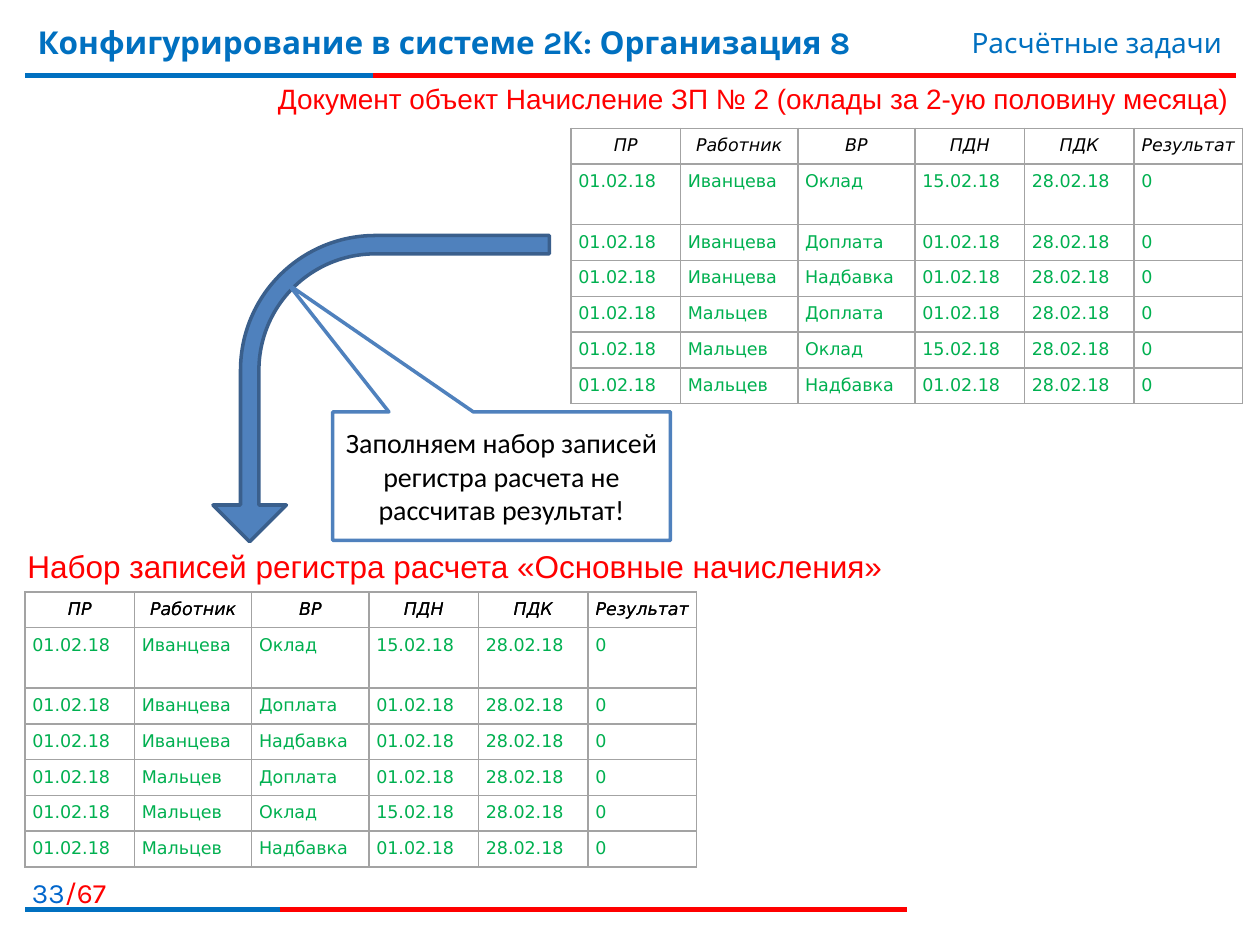
from lxml.etree import SubElement
from pptx import Presentation
from pptx.dml.color import RGBColor
from pptx.enum.shapes import MSO_CONNECTOR, MSO_SHAPE
from pptx.enum.text import MSO_ANCHOR, MSO_AUTO_SIZE, PP_ALIGN
from pptx.oxml.ns import qn
from pptx.util import Pt

RED, BLUE, GREEN, BLACK, WHITE = "FF0000", "0070C0", "00B050", "000000", "FFFFFF"
PAGE_BLUE, BORDER = "0066CC", "A3A3A3"
ARROW_FILL, ARROW_LINE = "4F81BD", "3A5F8C"
HEADING = {"name": "Karla", "size": Pt(16)}
TITLE = {"name": "Karla", "size": Pt(18), "bold": True}
CAPTION = {"name": "Arial", "size": Pt(16)}
LARGE_CAPTION = {"name": "Arial", "size": Pt(18)}
NOTE = {"name": "Calibri", "size": Pt(16)}
CELL = {"name": "DejaVu Sans", "size": Pt(10)}
HEADER_CELL = {**CELL, "italic": True}

COLUMN_WIDTHS = (62.6, 67, 67, 62.6, 62.6, 61.9)
ROW_HEIGHT, TALL_ROW_HEIGHT = 20, 34.6
HEADERS = ("ПР", "Работник", "ВР", "ПДН", "ПДК", "Результат")
PERIOD, MID_MONTH, MONTH_END = "01.02.18", "15.02.18", "28.02.18"
ACCRUALS = [
    (PERIOD, worker, kind, MID_MONTH if kind == "Оклад" else PERIOD, MONTH_END, "0")
    for worker, kind in (
        ("Иванцева", "Оклад"),
        ("Иванцева", "Доплата"),
        ("Иванцева", "Надбавка"),
        ("Мальцев", "Доплата"),
        ("Мальцев", "Оклад"),
        ("Мальцев", "Надбавка"),
    )
]


def rgb(color):
    return RGBColor.from_string(color)


class SlideBuilder:
    def __init__(self, slide):
        self.slide = slide

    def add_runs(self, frame, runs, style, align=PP_ALIGN.LEFT):
        """Fill the first paragraph with (text, colour) runs of one style."""
        paragraph = frame.paragraphs[0]
        paragraph.alignment = align
        for text, color in runs:
            run = paragraph.add_run()
            run.text = text
            for attribute, value in style.items():
                setattr(run.font, attribute, value)
            run.font.color.rgb = rgb(color)

    def text(self, box, runs, style, align=PP_ALIGN.LEFT, grow=False):
        frame = self.slide.shapes.add_textbox(*map(Pt, box)).text_frame
        frame.word_wrap = True
        if grow:
            frame.auto_size = MSO_AUTO_SIZE.SHAPE_TO_FIT_TEXT
        self.add_runs(frame, runs, style, align)

    def rule(self, left, right, y, color):
        line = self.slide.shapes.add_connector(
            MSO_CONNECTOR.STRAIGHT, Pt(left), Pt(y), Pt(right), Pt(y))
        line.line.color.rgb = rgb(color)
        line.line.width = Pt(3)
        SubElement(line._element.spPr, qn("a:effectLst"))

    def shape(self, preset, box, adjustments, fill, line):
        shape = self.slide.shapes.add_shape(preset, *map(Pt, box))
        shape.shadow.inherit = False
        for index, value in enumerate(adjustments):
            shape.adjustments[index] = value
        shape.fill.solid()
        shape.fill.fore_color.rgb = rgb(fill)
        shape.line.color.rgb = rgb(line)
        shape.line.width = Pt(2)
        return shape

    def bent_arrow(self, box, adjustments):
        arrow = self.shape(MSO_SHAPE.BENT_ARROW, box, adjustments, ARROW_FILL, ARROW_LINE)
        arrow.rotation = 270
        arrow._element.spPr.find(qn("a:xfrm")).set("flipH", "1")

    def callout(self, box, adjustments, text):
        callout = self.shape(
            MSO_SHAPE.RECTANGULAR_CALLOUT, box, adjustments, WHITE, ARROW_FILL)
        frame = callout.text_frame
        frame.word_wrap = True
        frame.vertical_anchor = MSO_ANCHOR.MIDDLE
        self.add_runs(frame, [(text, BLACK)], NOTE, PP_ALIGN.CENTER)

    def cell(self, cell, text, is_header):
        for side in ("left", "right", "top", "bottom"):
            setattr(cell, f"margin_{side}", Pt(4.2))
        properties = cell._tc.get_or_add_tcPr()
        for side in "LRTB":
            edge = SubElement(properties, qn(f"a:ln{side}"), w=str(Pt(1)))
            SubElement(SubElement(edge, qn("a:solidFill")), qn("a:srgbClr"), val=BORDER)
        cell.fill.background()
        if is_header:
            self.add_runs(cell.text_frame, [(text, BLACK)], HEADER_CELL, PP_ALIGN.CENTER)
        else:
            self.add_runs(cell.text_frame, [(text, GREEN)], CELL)

    def accrual_table(self, left, top, records):
        rows = [HEADERS, *records]
        heights = [TALL_ROW_HEIGHT if index == 1 else ROW_HEIGHT for index in range(len(rows))]
        table = self.slide.shapes.add_table(
            len(rows), len(HEADERS), Pt(left), Pt(top),
            Pt(sum(COLUMN_WIDTHS)), Pt(sum(heights))).table
        table.first_row = table.horz_banding = False
        for column, width in zip(table.columns, COLUMN_WIDTHS):
            column.width = Pt(width)
        for row_index, (row, height, values) in enumerate(zip(table.rows, heights, rows)):
            row.height = Pt(height)
            for cell, value in zip(row.cells, values):
                self.cell(cell, value, row_index == 0)


def main():
    presentation = Presentation()
    presentation.slide_width, presentation.slide_height = Pt(720), Pt(540)
    builder = SlideBuilder(presentation.slides.add_slide(presentation.slide_layouts[6]))

    for y, blue_end, red_end in ((43.2, 213.1, 706.3), (519.8, 159.8, 518.4)):
        builder.rule(14.4, red_end, y, RED)
        builder.rule(14.4, blue_end, y, BLUE)
    builder.text((0, 496.8, 67.7, 23), [("33", PAGE_BLUE), ("/67", RED)],
                 HEADING, PP_ALIGN.RIGHT)
    builder.text((14.4, 9.4, 532.8, 44.6),
                 [("Конфигурирование в системе 2К: Организация 8", BLUE)], TITLE)
    builder.text((427.7, 10.8, 277.9, 26.6), [("Расчётные задачи", BLUE)],
                 HEADING, PP_ALIGN.RIGHT, grow=True)

    builder.text((8.6, 308.9, 652.3, 28.8),
                 [("Набор записей регистра расчета «Основные начисления»", RED)],
                 LARGE_CAPTION, grow=True)
    builder.accrual_table(326.3, 73.4, ACCRUALS)
    builder.bent_arrow((130.3, 126, 175, 192.2), (0.06, 0.12, 0.12, 0.44))
    builder.accrual_table(14.3, 338.2, ACCRUALS)
    builder.text((14.4, 43.2, 694.8, 26.6),
                 [("Документ объект Начисление ЗП № 2 (оклады за 2-ую половину месяца)", RED)],
                 CAPTION, PP_ALIGN.RIGHT, grow=True)
    builder.accrual_table(14.3, 338.2, [])
    builder.callout((190.1, 235.4, 193, 73.4), (-0.63, -1.49),
                    "Заполняем набор записей регистра расчета не рассчитав результат!")

    presentation.save("out.pptx")


if __name__ == "__main__":
    main()
